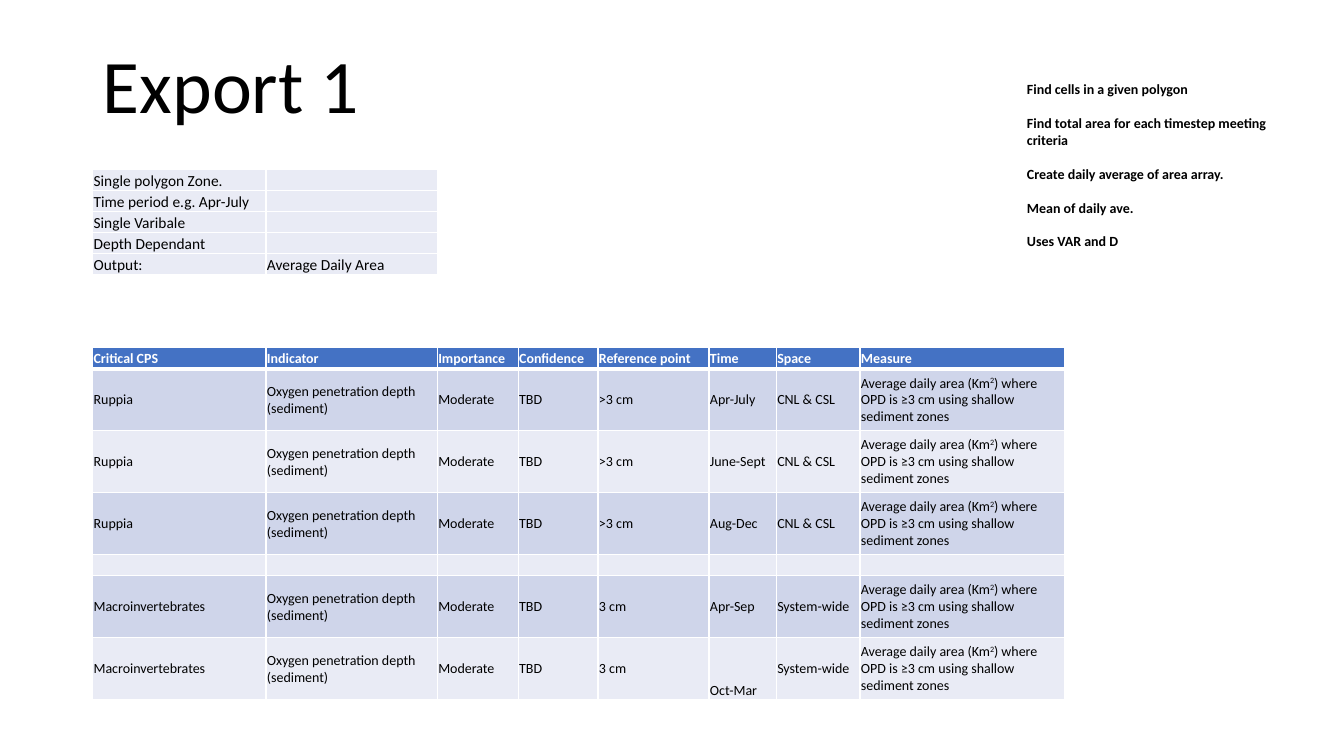
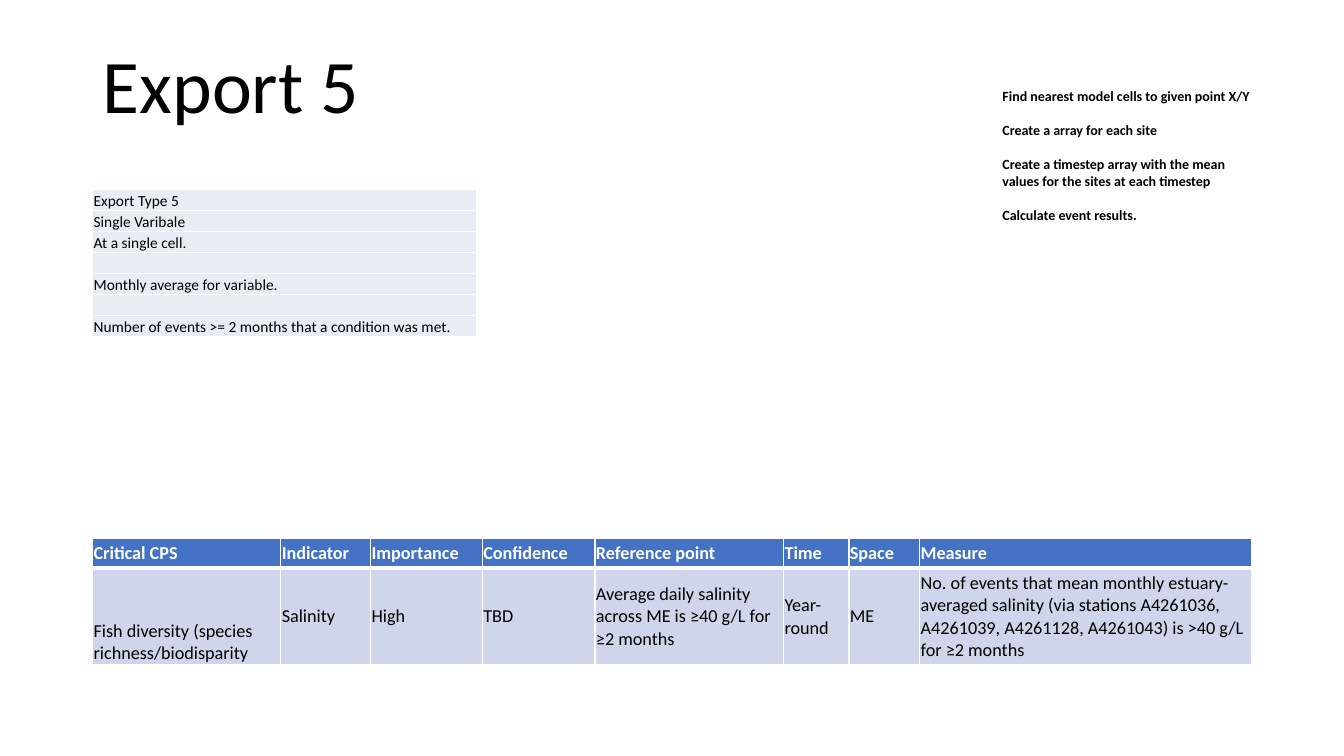
from dataclasses import dataclass

from lxml.etree import SubElement
from pptx import Presentation
from pptx.dml.color import RGBColor
from pptx.enum.text import MSO_ANCHOR as ANCHOR, MSO_AUTO_SIZE as AUTO, PP_ALIGN as ALIGN
from pptx.oxml.ns import qn
from pptx.util import Pt

FONT = "Calibri"
BLACK, WHITE = "000000", "FFFFFF"
HEAD, BAND, PALE = "4472C4", "CFD5EA", "E9EBF5"
LEFT = 66.2
TITLE = (LEFT, 23, 828, 73.4)
NOTE_GAP = 12.2
HEADERS = ["Critical CPS", "Indicator", "Importance", "Confidence",
           "Reference point", "Time", "Space", "Measure"]


@dataclass
class Grid:
    top: float
    cols: list[float]
    heights: list[float]
    rows: list[list[str]]
    size: float
    header: bool = False
    bottom_cells: tuple[tuple[int, int], ...] = ()


@dataclass
class Notes:
    left: float
    top: float
    width: float
    height: float
    lines: list[str]


@dataclass
class Page:
    title: str
    grids: list[Grid]
    notes: Notes


def rgb(color: str) -> RGBColor:
    return RGBColor.from_string(color)


def write(tf, *lines: str, size: float, color: str = BLACK, bold: bool = False,
          gap: float = 0, spacing: float | None = None) -> None:
    """Text between carets is raised."""
    for i, line in enumerate(lines):
        p = tf.add_paragraph() if i else tf.paragraphs[0]
        p.alignment = ALIGN.LEFT
        p.space_before = Pt(gap if i else 0)
        if spacing:
            p.line_spacing = spacing
        if not line:
            SubElement(p._p, qn("a:endParaRPr"), sz=str(int(size * 100)))
            continue
        for j, part in enumerate(line.split("^")):
            r = p.add_run()
            r.text = part
            r.font.name, r.font.size, r.font.bold = FONT, Pt(size), bold
            r.font.color.rgb = rgb(color)
            if j % 2:
                r._r.get_or_add_rPr().set("baseline", "30000")


def set_borders(cell, top: float = 1, bottom: float = 1) -> None:
    tc_pr = cell._tc.get_or_add_tcPr()
    for side, width in (("L", 1), ("R", 1), ("T", top), ("B", bottom)):
        ln = SubElement(tc_pr, qn(f"a:ln{side}"), w=str(Pt(width)))
        fill = SubElement(ln, qn("a:solidFill"))
        SubElement(fill, qn("a:srgbClr"), val=WHITE)


def add_grid(s, grid: Grid) -> None:
    frame = s.shapes.add_table(len(grid.rows), len(grid.cols), Pt(LEFT), Pt(grid.top),
                               Pt(sum(grid.cols)), Pt(sum(grid.heights)))
    table = frame.table
    table.first_row, table.horz_banding = grid.header, False
    for col, width in zip(table.columns, grid.cols):
        col.width = Pt(width)
    for i, (row, height) in enumerate(zip(grid.rows, grid.heights)):
        table.rows[i].height = Pt(height)
        is_head = grid.header and i == 0
        fill = HEAD if is_head else BAND if grid.header and i % 2 else PALE
        for j, text in enumerate(row):
            cell = table.cell(i, j)
            cell.margin_left = cell.margin_right = cell.margin_top = Pt(0.7)
            cell.margin_bottom = 0
            low = not grid.header or (i, j) in grid.bottom_cells
            cell.vertical_anchor = ANCHOR.BOTTOM if low else ANCHOR.MIDDLE
            set_borders(cell, top=3 if grid.header and i == 1 else 1,
                        bottom=3 if is_head else 1)
            cell.fill.solid()
            cell.fill.fore_color.rgb = rgb(fill)
            write(cell.text_frame, text, size=grid.size, bold=is_head,
                  color=WHITE if is_head else BLACK)


def add_notes(s, notes: Notes) -> None:
    sp = s.shapes.add_textbox(Pt(notes.left), Pt(notes.top), Pt(notes.width), Pt(notes.height))
    tf = sp.text_frame
    tf.word_wrap = True
    tf.auto_size = AUTO.SHAPE_TO_FIT_TEXT
    write(tf, *notes.lines, size=10, bold=True, gap=NOTE_GAP)


def add_page(prs, page: Page) -> None:
    s = prs.slides.add_slide(prs.slide_layouts[5])
    sp = s.shapes.title
    sp.left, sp.top, sp.width, sp.height = map(Pt, TITLE)
    tf = sp.text_frame
    tf.auto_size = AUTO.NONE
    tf.vertical_anchor = ANCHOR.BOTTOM
    write(tf, page.title, size=54, spacing=0.9)
    for grid in page.grids:
        add_grid(s, grid)
    add_notes(s, page.notes)


def oxygen_row(species: str, depth: str, time: str, space: str) -> list[str]:
    return [species, "Oxygen penetration depth (sediment)", "Moderate", "TBD", depth, time, space,
            "Average daily area (Km^2^) where OPD is ≥3 cm using shallow sediment zones"]


PAGES = [
    Page(
        "Export 1",
        [
            Grid(248.4, [123.8, 122.4, 57.8, 57, 79.3, 48.1, 59.8, 146],
                 [15, 44.3, 44.3, 44.3, 15, 44.3, 44.3],
                 [HEADERS,
                  *(oxygen_row("Ruppia", ">3 cm", time, "CNL & CSL")
                    for time in ("Apr-July", "June-Sept", "Aug-Dec")),
                  [""] * len(HEADERS),
                  *(oxygen_row("Macroinvertebrates", "3 cm", time, "System-wide")
                    for time in ("Apr-Sep", "Oct-Mar"))],
                 10, header=True, bottom_cells=((6, 5),)),
            Grid(121, [123.8, 122.4], [15] * 5,
                 [["Single polygon Zone.", ""],
                  ["Time period e.g. Apr-July", ""],
                  ["Single Varibale", ""],
                  ["Depth Dependant", ""],
                  ["Output:", "Average Daily Area"]], 11),
        ],
        Notes(726.5, 54, 192.2, 128.2,
              ["Find cells in a given polygon",
               "Find total area for each timestep meeting criteria",
               "Create daily average of area array.",
               "Mean of daily ave.",
               "Uses VAR and D"]),
    ),
    Page(
        "Export 5",
        [
            Grid(384.5, [134.4, 64.2, 79.8, 80.5, 134.7, 46.7, 50.6, 237], [21, 69.4],
                 [HEADERS,
                  ["Fish diversity (species richness/biodisparity", "Salinity", "High", "TBD",
                   "Average daily salinity across ME is ≥40 g/L for ≥2 months", "Year-round", "ME",
                   "No. of events that mean monthly estuary-averaged salinity (via stations "
                   "A4261036, A4261039, A4261128, A4261043) is >40 g/L for ≥2 months"]],
                 13, header=True, bottom_cells=((1, 0),)),
            Grid(135.4, [274.3], [15] * 7,
                 [["Export Type 5"],
                  ["Single Varibale"],
                  ["At a single cell."],
                  [""],
                  ["Monthly average for variable."],
                  [""],
                  ["Number of events >= 2 months that a condition was met."]], 11),
        ],
        Notes(709, 59, 192.2, 140.4,
              ["Find nearest model cells to given point X/Y",
               "Create a array for each site",
               "Create a timestep array with the mean values for the sites at each timestep",
               "Calculate event results."]),
    ),
]


def main() -> None:
    prs = Presentation()
    prs.slide_width, prs.slide_height = Pt(960), Pt(540)
    for page in PAGES:
        add_page(prs, page)
    prs.save("out.pptx")


if __name__ == "__main__":
    main()
